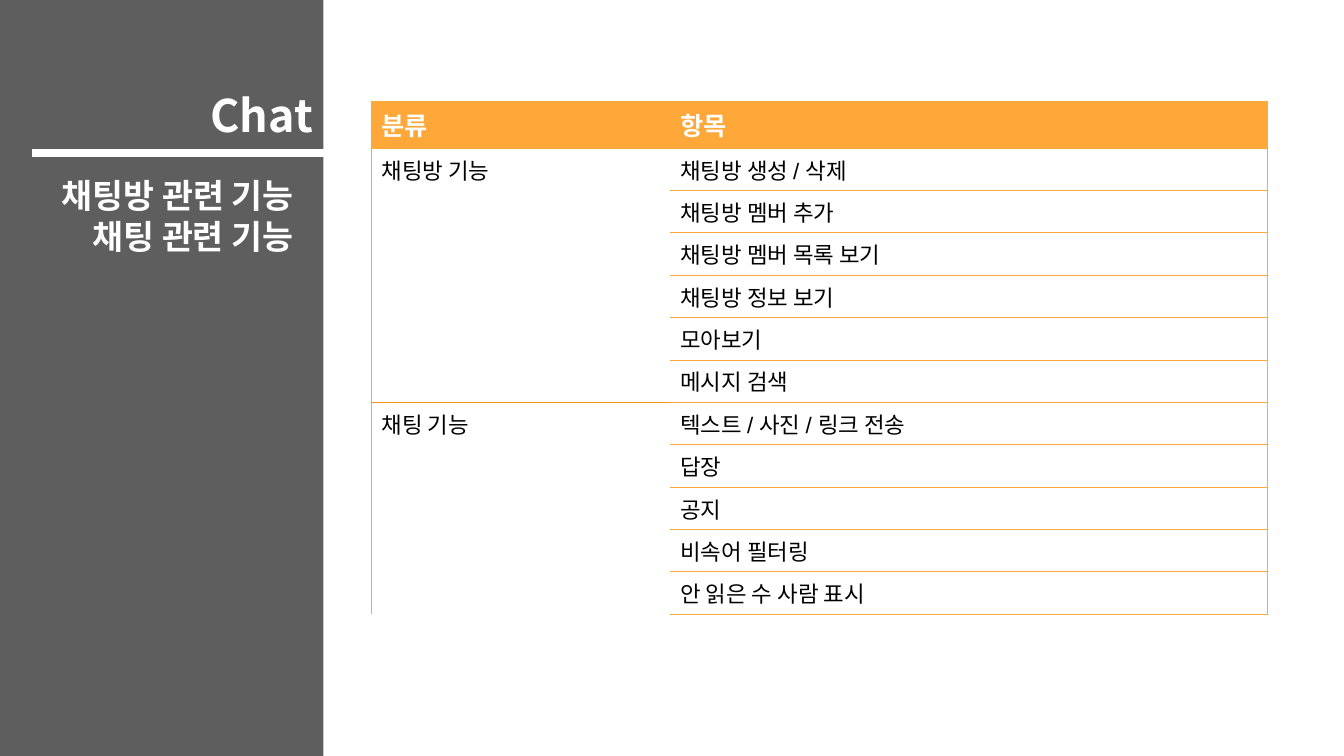
from lxml import etree
from pptx import Presentation
from pptx.dml.color import RGBColor
from pptx.enum.shapes import MSO_SHAPE
from pptx.enum.text import MSO_ANCHOR, MSO_AUTO_SIZE, PP_ALIGN
from pptx.oxml.ns import qn
from pptx.util import Pt

RECT = MSO_SHAPE.RECTANGLE
RIGHT = PP_ALIGN.RIGHT
MIDDLE, TOP = MSO_ANCHOR.MIDDLE, MSO_ANCHOR.TOP
FIXED = MSO_AUTO_SIZE.NONE
WHITE, BLACK, GREY = "FFFFFF", "000000", "5E5E5E"
EDGE, SPLIT = ("FEA83A", 0.75), ("F8941C", 1)

HEADS = ["분류", "항목"]
GROUPS = [
    ("채팅방 기능", ["채팅방 생성 / 삭제", "채팅방 멤버 추가", "채팅방 멤버 목록 보기",
                "채팅방 정보 보기", "모아보기", "메시지 검색"]),
    ("채팅 기능", ["텍스트 / 사진 / 링크 전송", "답장", "공지", "비속어 필터링",
               "안 읽은 수 사람 표시"]),
]


def color(code):
    return RGBColor.from_string(code)


def add_run(para, text, size, code, bold=False, face="Arial"):
    run = para.add_run()
    run.text = text
    font = run.font
    font.name, font.size, font.bold = face, Pt(size), bold
    font.color.rgb = color(code)


def add_rect(slide, box, code):
    rect = slide.shapes.add_shape(RECT, *map(Pt, box))
    rect.shadow.inherit = False
    rect.fill.solid()
    rect.fill.fore_color.rgb = color(code)
    rect.line.fill.background()
    return rect


def set_frame(frame, anchor):
    frame.word_wrap = True
    frame.auto_size = FIXED
    frame.vertical_anchor = anchor


def add_side(slide, box):
    """Dark panel with the title, a rule and the subtitle lines."""
    left, top, width, height = box
    panel = add_rect(slide, box, GREY)
    tree = slide.shapes._spTree
    tree.remove(panel._element)
    tree.insert(2, panel._element)  # behind the title

    rule = add_rect(slide, (left + 23, top + 106.5, width - 23, 5), WHITE)
    rule.line.color.rgb = color(WHITE)
    rule.line.width = Pt(0.75)

    title = slide.shapes.title
    title.left, title.top = Pt(left - 9.4), Pt(top + 53.3)
    title.width, title.height = Pt(242.6), Pt(57.6)
    frame = title.text_frame
    set_frame(frame, MIDDLE)
    frame.margin_left = frame.margin_right = Pt(9.4)
    frame.margin_top = frame.margin_bottom = Pt(9.4)
    para = frame.paragraphs[0]
    para.alignment = RIGHT
    add_run(para, "Chat", 32, WHITE, True, "Noto Sans CJK KR")

    note = slide.shapes.add_textbox(Pt(left + 19.4), Pt(top + 121.7), Pt(197.3), Pt(94.3))
    frame = note.text_frame
    set_frame(frame, TOP)
    for i, text in enumerate(["채팅방 관련 기능", "채팅 관련 기능"]):
        para = frame.add_paragraph() if i else frame.paragraphs[0]
        para.alignment = RIGHT
        add_run(para, text, 24, WHITE, True)


def set_cell(cell, fill, **edges):
    """Draw the given edges (L, R, T, B), clear the others, then fill."""
    props = cell._tc.get_or_add_tcPr()
    for side in "LRTB":
        line = etree.SubElement(props, qn("a:ln" + side))
        if side in edges:
            code, width = edges[side]
            line.set("w", str(Pt(width)))
            solid = etree.SubElement(line, qn("a:solidFill"))
            etree.SubElement(solid, qn("a:srgbClr")).set("val", code)
        else:
            line.set("w", "0")
            etree.SubElement(line, qn("a:noFill"))
    if fill:
        cell.fill.solid()
        cell.fill.fore_color.rgb = color(fill)
    else:
        cell.fill.background()


def write(cell, text, size, code, bold=False):
    add_run(cell.text_frame.paragraphs[0], text, size, code, bold)


def add_grid(slide, box):
    """Table of feature groups, each group merged down the first column."""
    count = 1 + sum(len(items) for _, items in GROUPS)
    grid = slide.shapes.add_table(count, 2, *map(Pt, box)).table
    grid.first_row = grid.horz_banding = False
    grid.columns[0].width = Pt(box[2] / 3)
    grid.columns[1].width = Pt(box[2] * 2 / 3)
    for row in grid.rows:
        row.height = Pt(box[3] / count)

    for col, (text, side) in enumerate(zip(HEADS, "LR")):
        cell = grid.cell(0, col)
        write(cell, text, 18, WHITE, True)
        set_cell(cell, EDGE[0], T=EDGE, B=EDGE, **{side: EDGE})

    first = 1
    for name, items in GROUPS:
        last = first + len(items) - 1
        write(grid.cell(first, 0), name, 16, BLACK)
        for row, text in enumerate(items, first):
            edges = {"L": EDGE}
            if row == first:
                edges["T"] = EDGE if first == 1 else SPLIT
            if row == last:
                edges["B"] = EDGE if last == count - 1 else SPLIT
            set_cell(grid.cell(row, 0), None, **edges)
            write(grid.cell(row, 1), text, 16, BLACK)
            set_cell(grid.cell(row, 1), None, R=EDGE, T=EDGE, B=EDGE)
        grid.cell(first, 0).merge(grid.cell(last, 0))
        first = last + 1


def main():
    deck = Presentation()
    deck.slide_width, deck.slide_height = Pt(960), Pt(540)
    slide = deck.slides.add_slide(deck.slide_layouts[5])
    add_side(slide, (0, 0, 231, 540))
    add_grid(slide, (265.5, 72.5, 640, 350.6))
    deck.save("out.pptx")


if __name__ == "__main__":
    main()
